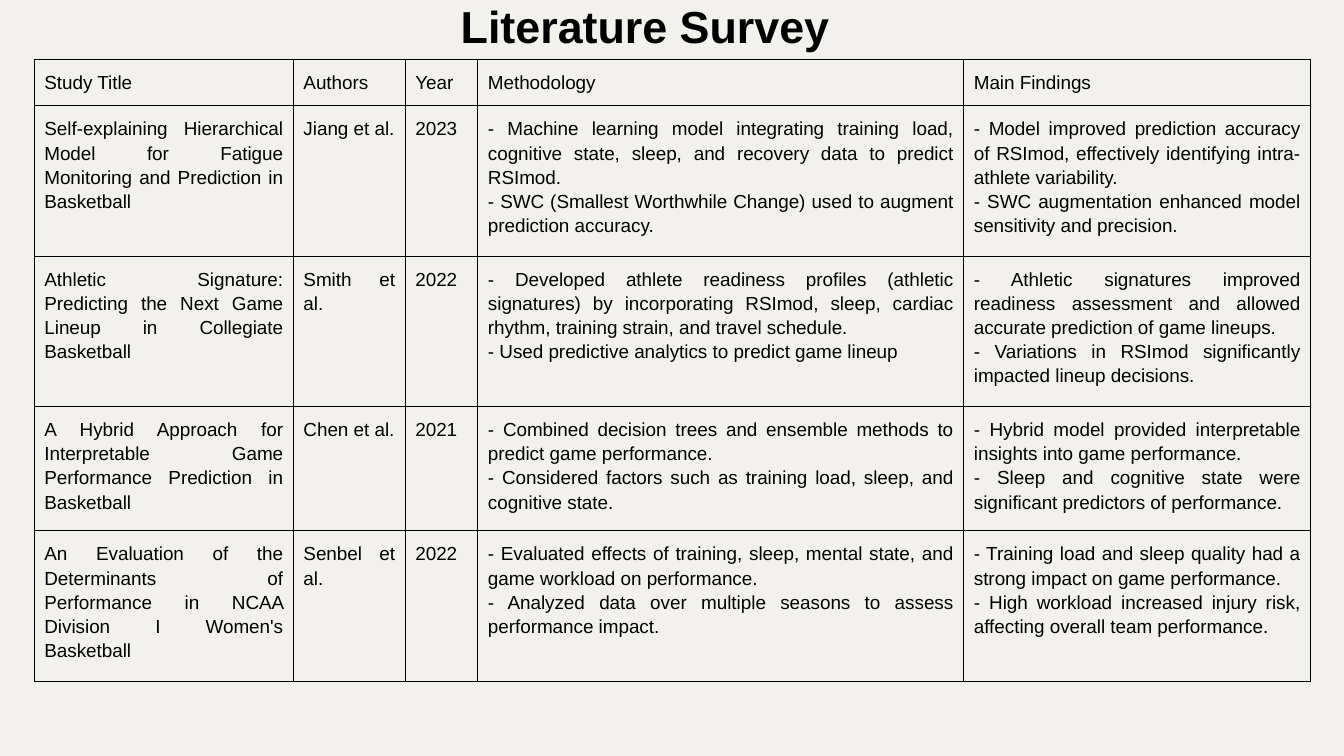
import pptx
import pptx.dml.color
import pptx.enum.text
import pptx.oxml
import pptx.oxml.ns
import pptx.util
from dataclasses import dataclass

Inches = pptx.util.Inches
Pt = pptx.util.Pt
RGB = pptx.dml.color.RGBColor
ALIGN = pptx.enum.text.PP_ALIGN


@dataclass(frozen=True)
class Theme:
    background: str = "F2F1EE"
    ink: str = "000000"
    font: str = "Arial"
    title_size: float = 32
    body_size: float = 13.5
    border_width: float = 0.75


theme = Theme()

headers = ["Study Title", "Authors", "Year", "Methodology", "Main Findings"]
studies = [
    ["Self-explaining Hierarchical Model for Fatigue Monitoring and Prediction in Basketball",
     "Jiang et al.", "2023",
     "- Machine learning model integrating training load, cognitive state, sleep, "
     "and recovery data to predict RSImod.\n"
     "- SWC (Smallest Worthwhile Change) used to augment prediction accuracy.",
     "- Model improved prediction accuracy of RSImod, effectively identifying "
     "intra-athlete variability.\n"
     "- SWC augmentation enhanced model sensitivity and precision."],
    ["Athletic Signature: Predicting the Next Game Lineup in Collegiate Basketball",
     "Smith et al.", "2022",
     "- Developed athlete readiness profiles (athletic signatures) by incorporating "
     "RSImod, sleep, cardiac rhythm, training strain, and travel schedule.\n"
     "- Used predictive analytics to predict game lineup",
     "- Athletic signatures improved readiness assessment and allowed accurate "
     "prediction of game lineups.\n"
     "- Variations in RSImod significantly impacted lineup decisions."],
    ["A Hybrid Approach for Interpretable Game Performance Prediction in Basketball",
     "Chen et al.", "2021",
     "- Combined decision trees and ensemble methods to predict game performance.\n"
     "- Considered factors such as training load, sleep, and cognitive state.",
     "- Hybrid model provided interpretable insights into game performance.\n"
     "- Sleep and cognitive state were significant predictors of performance."],
    ["An Evaluation of the Determinants of Performance in NCAA Division I Women's Basketball",
     "Senbel et al.", "2022",
     "- Evaluated effects of training, sleep, mental state, and game workload on performance.\n"
     "- Analyzed data over multiple seasons to assess performance impact.",
     "- Training load and sleep quality had a strong impact on game performance.\n"
     "- High workload increased injury risk, affecting overall team performance."],
]
rows = [headers] + studies
col_widths = [2.57, 1.11, 0.72, 4.82, 3.44]
row_heights = [0.44, 1.4, 1.4, 1.16, 1.4]


def write(p, text, size, align, spacing, bold=False):
    p.alignment = align
    p.line_spacing = spacing
    r = p.add_run()
    r.text = text
    r.font.name = theme.font
    r.font.size = Pt(size)
    r.font.bold = bold
    r.font.color.rgb = RGB.from_string(theme.ink)


def add_borders(cell):
    tcPr = cell._tc.get_or_add_tcPr()
    for side in ("lnL", "lnR", "lnT", "lnB"):
        tcPr.append(pptx.oxml.parse_xml(
            f'<a:{side} {pptx.oxml.ns.nsdecls("a")} w="{Pt(theme.border_width)}">'
            f'<a:solidFill><a:srgbClr val="{theme.ink}"/></a:solidFill></a:{side}>'))


prs = pptx.Presentation()
prs.slide_width = Inches(13.33)
prs.slide_height = Inches(7.5)
s = prs.slides.add_slide(prs.slide_layouts[6])
s.background.fill.solid()
s.background.fill.fore_color.rgb = RGB.from_string(theme.background)

# Title
title = s.shapes.add_textbox(Inches(0.65), Inches(0.29), Inches(11.5), Inches(0.29))
tf = title.text_frame
tf.word_wrap = True
tf.vertical_anchor = pptx.enum.text.MSO_ANCHOR.BOTTOM
tf.margin_left = tf.margin_right = tf.margin_top = tf.margin_bottom = Inches(0.05)
write(tf.paragraphs[0], "Literature Survey", theme.title_size, ALIGN.CENTER, 0.9, bold=True)

# Survey table
table = s.shapes.add_table(len(rows), len(headers), Inches(0.34), Inches(0.59),
                           Inches(sum(col_widths)), Inches(sum(row_heights))).table
table.horz_banding = False
table.first_row = False
for col, width in zip(table.columns, col_widths):
    col.width = Inches(width)
for row, height, texts in zip(table.rows, row_heights, rows):
    row.height = Inches(height)
    for cell, text in zip(row.cells, texts):
        cell.margin_left = cell.margin_right = Inches(0.1)
        cell.margin_top = cell.margin_bottom = Inches(0.1)
        add_borders(cell)
        cell.fill.background()
        tf = cell.text_frame
        for i, line in enumerate(text.split("\n")):
            p = tf.add_paragraph() if i else tf.paragraphs[0]
            write(p, line, theme.body_size, ALIGN.JUSTIFY, 1.15)

prs.save("out.pptx")
